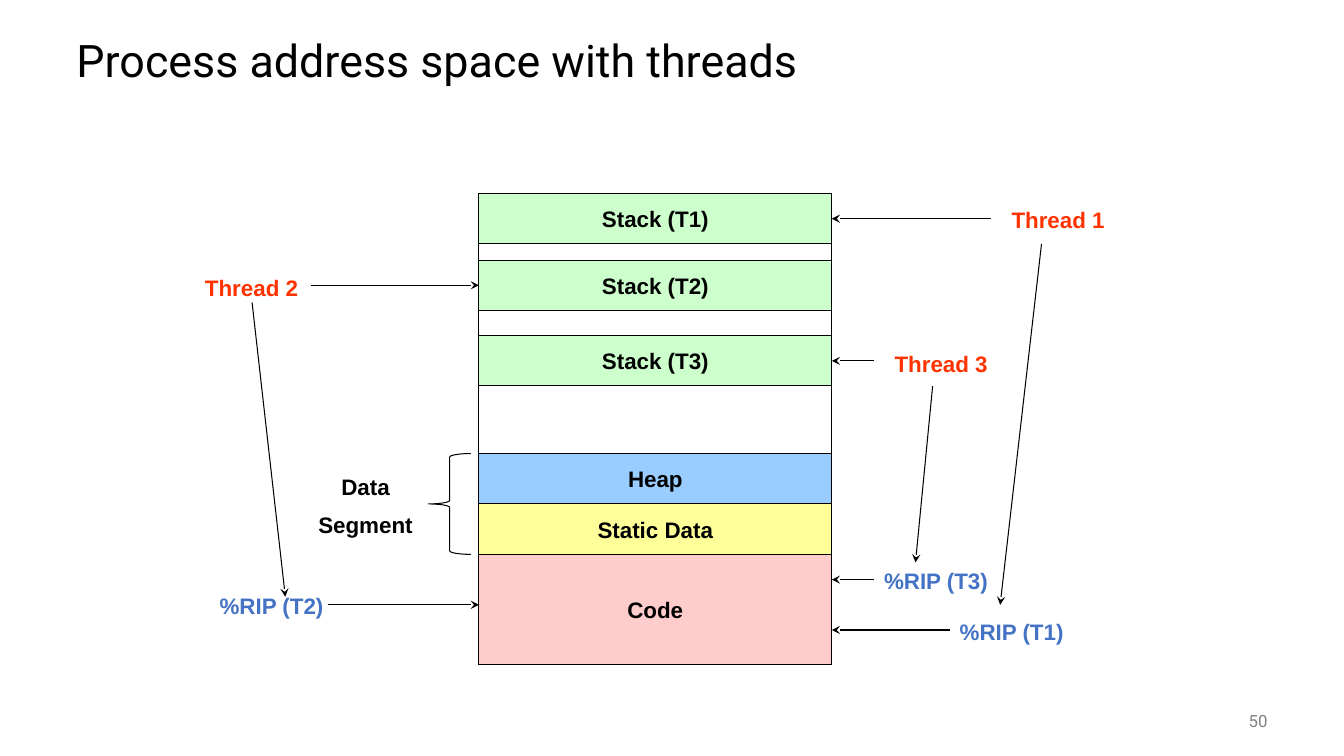
from collections import namedtuple

from lxml import etree
from pptx import Presentation
from pptx.dml.color import RGBColor
from pptx.enum.shapes import MSO_CONNECTOR as LINK, MSO_SHAPE as SHAPE
from pptx.enum.text import MSO_ANCHOR as ANCHOR, PP_ALIGN as ALIGN
from pptx.oxml.ns import qn
from pptx.util import Inches, Pt

BLACK = RGBColor(0x00, 0x00, 0x00)
GREY = RGBColor(0x80, 0x80, 0x80)
GREEN = RGBColor(0xCC, 0xFF, 0xCC)
PINK = RGBColor(0xFF, 0xCC, 0xCC)
YELLOW = RGBColor(0xFF, 0xFF, 0x99)
SKY = RGBColor(0x99, 0xCC, 0xFF)
RED = RGBColor(0xFF, 0x33, 0x00)
BLUE = RGBColor(0x44, 0x72, 0xC4)

LABEL = {"name": "Arial", "size": Pt(16), "bold": True}
TITLE = {"name": "Roboto", "size": Pt(32)}
NUMBER = {"name": "Roboto", "size": Pt(12)}

Box = namedtuple("Box", "x y w h")
Thread = namedtuple("Thread", "name tag rip spot stack down code")

# Label, height, gap above and fill of each band, from the top
BANDS = [
    ("Stack (T1)", 0.5, 0, GREEN),
    ("Stack (T2)", 0.5, 0.16, GREEN),
    ("Stack (T3)", 0.5, 0.25, GREEN),
    ("Heap", 0.5, 0.67, SKY),
    ("Static Data", 0.5, 0, YELLOW),
    ("Code", 1.09, 0, PINK),
]

# Places of labels and ends of arrows, from the top left of the memory
THREADS = [
    Thread("Thread 1", (4.83, 0.08), "%RIP (T1)", (4.67, 4.16),
           (5.08, 0.25, 3.5, 0.25), (5.58, 0.5, 5.17, 4.08),
           (4.67, 4.33, 3.5, 4.33)),
    Thread("Thread 2", (-3.17, 0.75), "%RIP (T2)", (-2.67, 3.91),
           (-1.67, 0.91, 0, 0.91), (-2.25, 1.08, -1.92, 4),
           (-1.5, 4.08, 0, 4.08)),
    Thread("Thread 3", (3.67, 1.5), "%RIP (T3)", (3.92, 3.66),
           (3.92, 1.66, 3.5, 1.66), (4.5, 1.91, 4.33, 3.66),
           (3.92, 3.83, 3.5, 3.83)),
]


def inch(vals):
    return [Inches(v) for v in vals]


def write(frame, lines, look, color, align):
    frame.word_wrap = True
    for i, line in enumerate(lines):
        par = frame.paragraphs[0] if i == 0 else frame.add_paragraph()
        par.alignment = align
        if i:
            par.space_before = Pt(8)
        run = par.add_run()
        run.text = line
        run.font.color.rgb = color
        for key, val in look.items():
            setattr(run.font, key, val)


def text(slide, box, lines, look=LABEL, color=BLACK, align=ALIGN.CENTER):
    frame = slide.shapes.add_textbox(*inch(box)).text_frame
    write(frame, lines, look, color, align)
    return frame


def block(slide, kind, box, fill=None):
    """Add a thin black outline, with a fill if one is given."""
    shape = slide.shapes.add_shape(kind, *inch(box))
    shape.shadow.inherit = False
    shape.line.color.rgb = BLACK
    shape.line.width = Pt(0.75)
    if fill is None:
        shape.fill.background()
    else:
        shape.fill.solid()
        shape.fill.fore_color.rgb = fill
    return shape


def arrow(slide, box, ends):
    x1, y1, x2, y2 = ends
    line = slide.shapes.add_connector(
        LINK.STRAIGHT,
        *inch((box.x + x1, box.y + y1, box.x + x2, box.y + y2)))
    line.line.color.rgb = BLACK
    line.line.width = Pt(0.75)
    props = line._element.spPr
    etree.SubElement(props.find(qn("a:ln")), qn("a:tailEnd"), type="stealth")
    etree.SubElement(props, qn("a:effectLst"))


def heading(slide, box):
    frame = text(slide, box, ["Process address space with threads"],
                 TITLE, BLACK, ALIGN.LEFT)
    frame.vertical_anchor = ANCHOR.MIDDLE
    frame.paragraphs[0].line_spacing = 0.9


def footer(slide, box):
    frame = text(slide, box, ["50"], NUMBER, GREY, ALIGN.RIGHT)
    frame.vertical_anchor = ANCHOR.MIDDLE


def memory(slide, box):
    block(slide, SHAPE.RECTANGLE, box)
    top = box.y
    for name, high, gap, fill in BANDS:
        top += gap
        band = block(slide, SHAPE.RECTANGLE, Box(box.x, top, box.w, high), fill)
        frame = band.text_frame
        frame.vertical_anchor = ANCHOR.MIDDLE
        write(frame, [name], LABEL, BLACK, ALIGN.CENTER)
        top += high


def segment(slide, box):
    """Brace the data bands and name them on the left."""
    brace = 0.42
    wide = box.w - brace
    block(slide, SHAPE.LEFT_BRACE, Box(box.x + wide, box.y, brace, box.h))
    text(slide, Box(box.x, box.y + 0.14, wide, 0.77), ["Data", "Segment"])


def threads(slide, box):
    """Link each thread to its stack, its pointer and the code."""
    for item in THREADS:
        x, y = item.tag
        text(slide, Box(box.x + x, box.y + y, 1.83, 0.37), [item.name],
             color=RED)
        x, y = item.spot
        frame = text(slide, Box(box.x + x, box.y + y, 1.25, 0.37), [item.rip],
                     color=BLUE, align=ALIGN.LEFT)
        frame.margin_right = 0
        for ends in (item.stack, item.down, item.code):
            arrow(slide, box, ends)


def main():
    deck = Presentation()
    deck.slide_width, deck.slide_height = inch((13.33, 7.5))
    slide = deck.slides.add_slide(deck.slide_layouts[6])
    space = Box(4.75, 1.92, 3.5, 4.67)
    heading(slide, Box(0.66, 0.25, 12, 0.75))
    memory(slide, space)
    segment(slide, Box(3, 4.5, 1.67, 1))
    threads(slide, space)
    footer(slide, Box(11.67, 6.95, 1, 0.4))
    deck.save("out.pptx")


if __name__ == "__main__":
    main()
